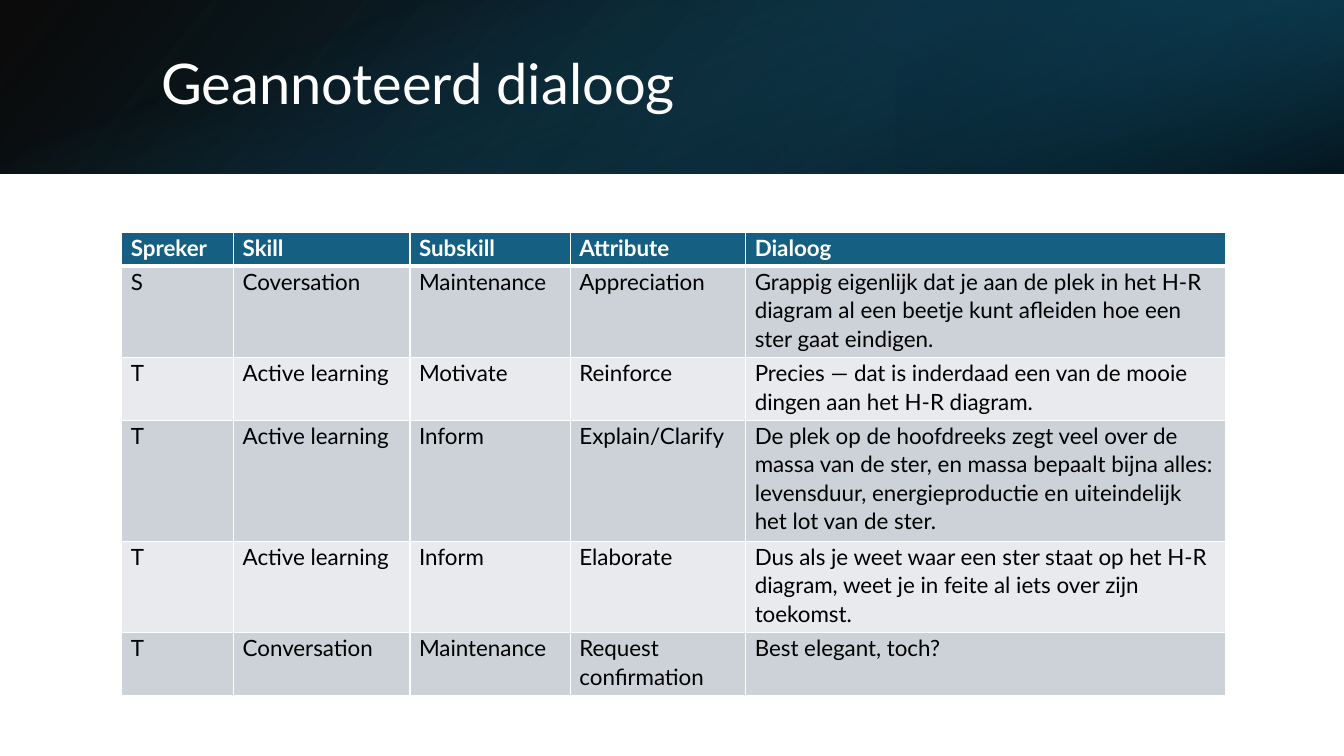
from dataclasses import dataclass

from lxml import etree
from pptx import Presentation, util as u
from pptx.dml.color import RGBColor
from pptx.enum import shapes, text
from pptx.oxml import ns

Pt = u.Pt


@dataclass(frozen=True)
class Theme:
    font: str = "Lato"
    title_size: int = 40
    table_size: int = 16
    white: str = "FFFFFF"
    black: str = "000000"
    accent: str = "156082"
    accent_dark: str = "104862"
    accent_deep: str = "0B3041"
    band_dark: str = "CCD2D8"
    band_light: str = "E8EAED"


THEME = Theme()
SLIDE_W, SLIDE_H = 960, 540
BANNER_H = 124

COLUMN_WIDTHS = [79.9, 126, 114.5, 125.3, 342.7]
ROW_HEIGHTS = [23.8, 65.5, 44.6, 86.4, 65.5, 44.6]
DIALOGUE = [
    ("Spreker", "Skill", "Subskill", "Attribute", "Dialoog"),
    ("S", "Coversation", "Maintenance", "Appreciation",
     "Grappig eigenlijk dat je aan de plek in het H-R diagram al een beetje "
     "kunt afleiden hoe een ster gaat eindigen."),
    ("T", "Active learning", "Motivate", "Reinforce",
     "Precies — dat is inderdaad een van de mooie dingen aan het H-R diagram."),
    ("T", "Active learning", "Inform", "Explain/Clarify",
     "De plek op de hoofdreeks zegt veel over de massa van de ster, en massa "
     "bepaalt bijna alles: levensduur, energieproductie en uiteindelijk het "
     "lot van de ster."),
    ("T", "Active learning", "Inform", "Elaborate",
     "Dus als je weet waar een ster staat op het H-R diagram, weet je in feite "
     "al iets over zijn toekomst."),
    ("T", "Conversation", "Maintenance", "Request confirmation",
     "Best elegant, toch?"),
]


def rgb(colour):
    return RGBColor.from_string(colour)


def style_paragraph(paragraph, size, colour, bold=False):
    paragraph.alignment = text.PP_ALIGN.LEFT
    font = paragraph.font
    font.name, font.size, font.bold = THEME.font, Pt(size), bold
    font.color.rgb = rgb(colour)


def add_gradient(slide, box, stops, angle, rotation=0, flip=False):
    """Stops are (position %, colour, opacity %); the angle runs clockwise."""
    layer = slide.shapes.add_shape(
        shapes.MSO_SHAPE.RECTANGLE, *(Pt(length) for length in box))
    layer.shadow.inherit = False
    layer.line.fill.background()
    layer.rotation = rotation
    if flip:
        layer._element.spPr.xfrm.set("flipH", "1")
    layer.fill.gradient()
    layer.fill.gradient_angle = 360 - angle
    for stop, (position, colour, _) in zip(layer.fill.gradient_stops, stops):
        stop.position = position / 100
        stop.color.rgb = rgb(colour)
    colours = layer._element.spPr.iter(ns.qn("a:srgbClr"))
    for node, (_, _, opacity) in zip(list(colours), stops):
        etree.SubElement(node, ns.qn("a:alpha"), val=str(opacity * 1000))


def add_banner(slide, left, top, width, height):
    # Dark base, glow on the right third, shade over the full width
    add_gradient(slide, (left, top, width, height),
                 [(0, THEME.black, 96), (100, THEME.accent_dark, 100)],
                 140, flip=True)
    add_gradient(slide, (left + width * 2 / 3, top, width / 3, height),
                 [(19, THEME.accent_deep, 68), (100, THEME.accent, 79)],
                 320, rotation=180, flip=True)
    upright = (left + (width - height) / 2, top + (height - width) / 2,
               height, width)
    add_gradient(slide, upright,
                 [(23, THEME.accent, 0), (99, THEME.black, 74)],
                 340, rotation=90)

    # Title, brought in front of the banner
    title = slide.shapes.title
    title.left, title.top = Pt(left + 108), Pt(top + 27.4)
    title.width, title.height = Pt(width - 169.4), Pt(69)
    frame = title.text_frame
    frame.text = "Geannoteerd dialoog"
    frame.vertical_anchor = text.MSO_ANCHOR.MIDDLE
    frame.paragraphs[0].line_spacing = 0.9
    style_paragraph(frame.paragraphs[0], THEME.title_size, THEME.white)
    title._element.getparent().append(title._element)


def set_borders(cell, top, bottom):
    properties = cell._tc.get_or_add_tcPr()
    widths = {"lnL": 1, "lnR": 1, "lnT": top, "lnB": bottom}
    for index, (side, width) in enumerate(widths.items()):
        border = etree.Element(ns.qn(f"a:{side}"), w=str(Pt(width)))
        fill = etree.SubElement(border, ns.qn("a:solidFill"))
        etree.SubElement(fill, ns.qn("a:srgbClr"), val=THEME.white)
        properties.insert(index, border)


def fill_cell(cell, wording, row):
    header = row == 0
    band = THEME.band_dark if row % 2 else THEME.band_light
    cell.fill.solid()
    cell.fill.fore_color.rgb = rgb(THEME.accent if header else band)
    cell.margin_left = cell.margin_right = Pt(6.5)
    cell.margin_top = cell.margin_bottom = 0
    cell.text = wording
    paragraph = cell.text_frame.paragraphs[0]
    paragraph.line_spacing = 1.07
    paragraph.space_after = Pt(8)
    style_paragraph(paragraph, THEME.table_size,
                    THEME.white if header else THEME.black, header)
    set_borders(cell, top=3 if row == 1 else 1, bottom=3 if header else 1)


def add_dialogue_table(slide, left, top, width, height):
    table = slide.shapes.add_table(
        len(ROW_HEIGHTS), len(COLUMN_WIDTHS),
        Pt(left), Pt(top), Pt(width), Pt(height)).table
    for column, column_width in zip(table.columns, COLUMN_WIDTHS):
        column.width = Pt(column_width)
    for row, row_height in zip(table.rows, ROW_HEIGHTS):
        row.height = Pt(row_height)
    for row, turn in enumerate(DIALOGUE):
        for column, wording in enumerate(turn):
            fill_cell(table.cell(row, column), wording, row)


def main():
    deck = Presentation()
    deck.slide_width, deck.slide_height = Pt(SLIDE_W), Pt(SLIDE_H)
    title_only = deck.slide_layouts[5]
    slide = deck.slides.add_slide(title_only)
    add_banner(slide, 0, 0, SLIDE_W, BANNER_H)
    add_dialogue_table(slide, 87, 166.3, sum(COLUMN_WIDTHS), sum(ROW_HEIGHTS))
    deck.save("out.pptx")


if __name__ == "__main__":
    main()
